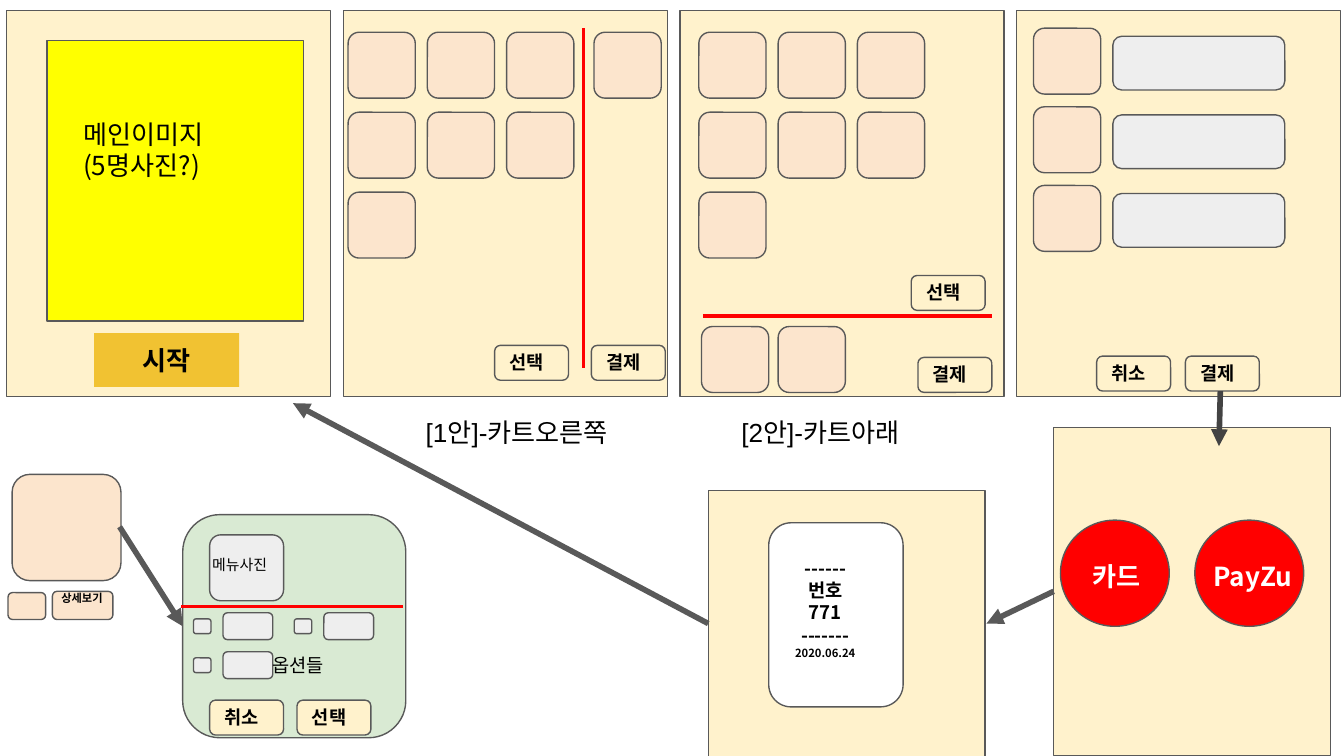
from dataclasses import dataclass

from lxml import etree
from pptx import Presentation
from pptx.dml.color import RGBColor
from pptx.enum.shapes import MSO_CONNECTOR, MSO_SHAPE
from pptx.enum.text import MSO_ANCHOR, PP_ALIGN
from pptx.oxml.ns import qn
from pptx.util import Inches, Pt

RECT = MSO_SHAPE.RECTANGLE
ROUND = MSO_SHAPE.ROUNDED_RECTANGLE
TAG = MSO_SHAPE.FLOWCHART_ALTERNATE_PROCESS
OVAL = MSO_SHAPE.OVAL
STRAIGHT = MSO_CONNECTOR.STRAIGHT
LEFT, CENTER = PP_ALIGN.LEFT, PP_ALIGN.CENTER
TOP, MIDDLE = MSO_ANCHOR.TOP, MSO_ANCHOR.MIDDLE

CREAM = RGBColor(0xFF, 0xF2, 0xCC)
PEACH = RGBColor(0xFC, 0xE5, 0xCD)
YELLOW = RGBColor(0xFF, 0xFF, 0x00)
GOLD = RGBColor(0xF1, 0xC2, 0x32)
GREEN = RGBColor(0xD9, 0xEA, 0xD3)
LIGHT = RGBColor(0xEE, 0xEE, 0xEE)
RED = RGBColor(0xFF, 0x00, 0x00)
WHITE = RGBColor(0xFF, 0xFF, 0xFF)
BLACK = RGBColor(0x00, 0x00, 0x00)
GRAY = RGBColor(0x59, 0x59, 0x59)
DARK = RGBColor(0x43, 0x43, 0x43)

LATIN, KOREAN = "Arial", "Noto Sans CJK KR"
COLUMNS, ROWS = 100, 56.25  # square grid cells over the slide
CELL = Inches(0.1)


@dataclass(frozen=True)
class Box:
    """An area in grid columns and rows."""
    x: float
    y: float
    w: float
    h: float


@dataclass(frozen=True)
class Style:
    size: float
    bold: bool = False
    font: str = KOREAN
    color: RGBColor = BLACK
    align: PP_ALIGN = LEFT


HEADING = Style(14)
START = Style(14, bold=True, align=CENTER)
CAPTION = Style(14, font=LATIN, align=CENTER)
BUTTON = Style(10, bold=True, font=LATIN)
PAYMENT = Style(14, bold=True, color=WHITE)
RECEIPT = Style(10, bold=True, align=CENTER)
SMALL = Style(6, bold=True, align=CENTER)


def cells(*lengths: float) -> list[int]:
    return [round(length * CELL) for length in lengths]


def draw_shape(parent, kind: MSO_SHAPE, box: Box, fill: RGBColor, outlined: bool = True):
    shape = parent.shapes.add_shape(kind, *cells(box.x, box.y, box.w, box.h))
    shape.shadow.inherit = False
    shape.fill.solid()
    shape.fill.fore_color.rgb = fill
    if outlined:
        shape.line.color.rgb = GRAY
        shape.line.width = Pt(0.75)
    else:
        shape.line.fill.background()
    return shape


def write(shape, lines: list[tuple[str, Style]], anchor: MSO_ANCHOR = TOP) -> None:
    frame = shape.text_frame
    frame.word_wrap = True
    frame.vertical_anchor = anchor
    frame.margin_left = frame.margin_right = CELL
    frame.margin_top = frame.margin_bottom = CELL
    for index, (words, style) in enumerate(lines):
        paragraph = frame.add_paragraph() if index else frame.paragraphs[0]
        paragraph.alignment = style.align
        run = paragraph.add_run()
        run.text = words
        run.font.name = style.font
        run.font.size = Pt(style.size)
        run.font.bold = style.bold
        run.font.color.rgb = style.color
        east_asian = etree.SubElement(run.font._element, qn("a:ea"))
        east_asian.set("typeface", KOREAN)


def draw_text(parent, box: Box, *lines: tuple[str, Style]) -> None:
    write(parent.shapes.add_textbox(*cells(box.x, box.y, box.w, box.h)), list(lines))


def draw_line(parent, start: tuple[float, float], end: tuple[float, float],
              color: RGBColor, width: float, arrow: bool = False) -> None:
    line = parent.shapes.add_connector(STRAIGHT, *cells(*start, *end))
    line.line.color.rgb = color
    line.line.width = Pt(width)
    if arrow:
        etree.SubElement(line.line._get_or_add_ln(), qn("a:tailEnd")).set("type", "triangle")
    etree.SubElement(line._element.spPr, qn("a:effectLst"))


def draw_button(parent, x: float, y: float, label: str) -> None:
    group = parent.shapes.add_group_shape()
    draw_shape(group, ROUND, Box(x, y, 5.5, 2.6), CREAM)
    draw_text(group, Box(x + 0.13, y - 0.42, 5, 3), (label, BUTTON))


def draw_card(parent, x: float, y: float) -> None:
    draw_shape(parent, ROUND, Box(x, y, 5, 4.9), PEACH)


def draw_menu(parent, x: float) -> None:
    """Seven menu cards, three to a row."""
    for index in range(7):
        row, column = divmod(index, 3)
        draw_card(parent, x + 5.9 * column, 2.4 + 5.95 * row)


def draw_option(parent, x: float, y: float) -> None:
    """A check box and its field."""
    group = parent.shapes.add_group_shape()
    draw_shape(group, ROUND, Box(x + 2.2, y, 3.7, 2), LIGHT)
    draw_shape(group, ROUND, Box(x, y + 0.45, 1.3, 1.1), LIGHT)


def draw_screens(slide) -> None:
    for index in range(4):
        draw_shape(slide, RECT, Box(0.5 + 25.05 * index, 0.8, 24.1, 28.7), CREAM)

    # Start screen
    draw_shape(slide, RECT, Box(3.5, 3, 19.1, 20.9), YELLOW)
    draw_text(slide, Box(5.2, 7.8, 14.1, 10), ("메인이미지", HEADING), ("(5명사진?)", HEADING))
    start = draw_shape(slide, RECT, Box(7, 24.8, 10.8, 4), GOLD, outlined=False)
    write(start, [("시작", START)], MIDDLE)

    # Plan 1: cart on the right
    draw_menu(slide, 25.9)
    draw_card(slide, 44.2, 2.4)
    draw_line(slide, (43.4, 2.1), (43.4, 27.4), RED, 1.5)
    draw_button(slide, 36.8, 25.7, "선택")
    draw_button(slide, 44, 25.7, "결제")
    draw_text(slide, Box(26.4, 30, 24.1, 4), ("[1안]-카트오른쪽", CAPTION))

    # Plan 2: cart below
    draw_menu(slide, 52)
    draw_line(slide, (52.3, 23.5), (73.8, 23.5), RED, 2.25)
    for x in (52.2, 57.9):
        draw_card(slide, x, 24.3)
    draw_button(slide, 67.8, 20.5, "선택")
    draw_button(slide, 68.3, 26.6, "결제")
    draw_text(slide, Box(49, 30, 24.1, 4), ("[2안]-카트아래", CAPTION))

    # Order check
    for row in range(3):
        y = 2.1 + 5.85 * row
        draw_card(slide, 76.9, y)
        draw_shape(slide, ROUND, Box(82.8, y + 0.6, 12.8, 4), LIGHT)
    draw_button(slide, 81.6, 26.5, "취소")
    draw_button(slide, 88.2, 26.5, "결제")


def draw_details(slide) -> None:
    # Enlarged menu card
    draw_shape(slide, ROUND, Box(0.9, 35.3, 8.1, 7.9), PEACH)
    draw_shape(slide, TAG, Box(0.6, 44.1, 2.8, 2), PEACH)
    details = slide.shapes.add_group_shape()
    draw_shape(details, TAG, Box(3.9, 44, 4.5, 2.1), PEACH)
    draw_text(details, Box(3, 43.5, 6.2, 2.3), ("상세보기", SMALL))

    # Option window
    draw_shape(slide, ROUND, Box(13.6, 38.3, 16.6, 16.6), GREEN)
    draw_shape(slide, ROUND, Box(15.6, 39.8, 5.5, 4.9), LIGHT)
    draw_text(slide, Box(14.8, 40.7, 7.1, 3.4), ("메뉴사진", Style(8)))
    draw_line(slide, (13.5, 45.1), (30, 45.1), RED, 1.5)
    for x, y in ((14.4, 45.6), (21.9, 45.6), (14.4, 48.5)):
        draw_option(slide, x, y)
    draw_text(slide, Box(19.3, 47.8, 6.5, 3.4), ("옵션들", Style(10)))
    draw_button(slide, 15.6, 52.1, "취소")
    draw_button(slide, 22.1, 52.1, "선택")


def draw_payment(slide) -> None:
    # Payment method
    draw_shape(slide, RECT, Box(78.4, 31.8, 20.6, 24.4), CREAM)
    for x in (78.9, 88.9):
        draw_shape(slide, OVAL, Box(x, 38.7, 8.1, 7.9), RED)
    draw_text(slide, Box(80.3, 40.7, 7.1, 4), ("카드", PAYMENT))
    draw_text(slide, Box(89.3, 40.7, 8.1, 4), ("PayZu", PAYMENT))

    # Receipt
    draw_shape(slide, RECT, Box(52.7, 36.5, 20.6, 19.8), CREAM)
    draw_shape(slide, ROUND, Box(57.2, 38.9, 10, 13.7), WHITE)
    receipt = [(words, RECEIPT) for words in ("------", "번호", "771", "-------")]
    draw_text(slide, Box(56.4, 40.4, 10, 5.9), *receipt, ("2020.06.24", SMALL))


def draw_flow(slide) -> None:
    draw_line(slide, (8.9, 39.2), (13.6, 46.6), GRAY, 3, arrow=True)
    draw_line(slide, (90.8, 29.1), (90.7, 33.2), DARK, 3, arrow=True)
    draw_line(slide, (78.4, 44), (73.4, 46.4), GRAY, 3, arrow=True)
    draw_line(slide, (52.7, 46.4), (21.8, 30), GRAY, 3, arrow=True)


def main() -> None:
    deck = Presentation()
    deck.slide_width, deck.slide_height = cells(COLUMNS, ROWS)
    slide = deck.slides.add_slide(deck.slide_layouts[6])
    draw_screens(slide)
    draw_details(slide)
    draw_payment(slide)
    draw_flow(slide)
    deck.save("out.pptx")


if __name__ == "__main__":
    main()
